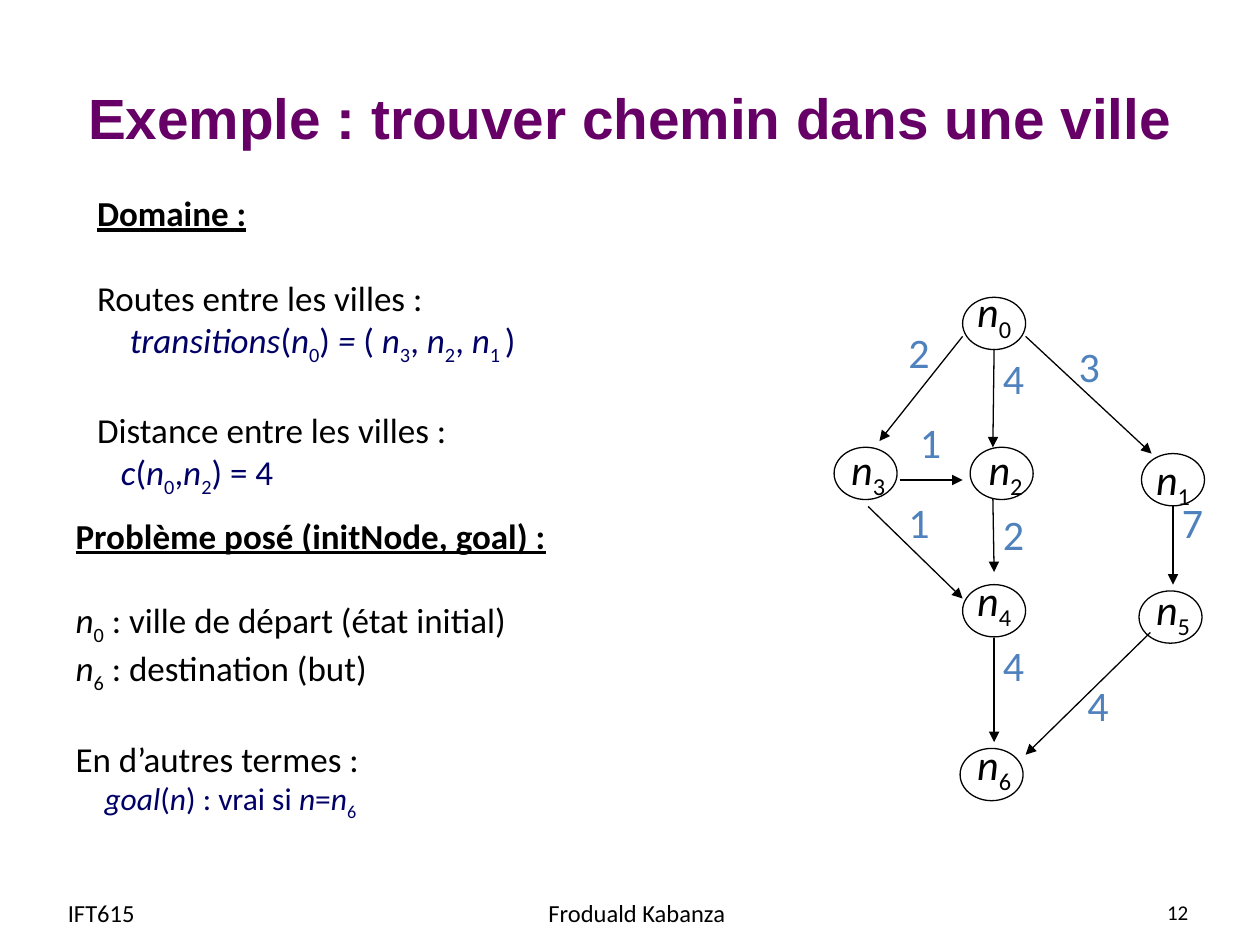
from dataclasses import dataclass
from lxml.etree import SubElement
from pptx import Presentation
from pptx.dml.color import RGBColor
from pptx.enum.shapes import MSO_CONNECTOR, MSO_SHAPE
from pptx.enum.text import MSO_ANCHOR, MSO_AUTO_SIZE, PP_ALIGN
from pptx.oxml.ns import qn
from pptx.util import Inches, Pt


@dataclass(frozen=True)
class Theme:
    black: RGBColor = RGBColor(0, 0, 0)
    title: RGBColor = RGBColor(0x66, 0, 0x66)
    math: RGBColor = RGBColor(0, 0, 0x66)
    weight: RGBColor = RGBColor(0x4F, 0x81, 0xBD)
    head: str = "Arial"
    body: str = "Calibri"
    title_size: float = 32.4
    graph_size: int = 24
    text_size: int = 20
    small_size: int = 18
    foot_size: int = 14
    page_size: int = 12
    line: float = 0.75


THEME = Theme()
COLS, ROWS = 100, 75
WIDTH, HEIGHT = Inches(10), Inches(7.5)
NODE = (5, 4.15)
NAME = (5.2, 5)
COST = (3.7, 5)

# Node number: corner of the ellipse, corner of its name
NODES = {
    0: ((76.4, 23.6), (76.3, 22.2)),
    3: ((66.2, 35.5), (66.3, 34.7)),
    2: ((77, 35.5), (77.2, 34.7)),
    1: ((90.6, 36), (90.5, 35.5)),
    4: ((76.4, 46.4), (76.3, 45.1)),
    6: ((76.2, 59.4), (76.3, 58.1)),
    5: ((90.4, 46.9), (90.5, 45.8)),
}

# Road: start, end, cost, corner of the cost
ROADS = [
    ((78.9, 27.7), (78.8, 35.5), 4, (78.6, 27.5)),
    ((81.4, 26.7), (91.4, 36), 3, (84.6, 26.5)),
    ((76.4, 26.7), (69.8, 35), 2, (71.1, 25.4)),
    ((71.4, 38.1), (76.4, 38.1), 1, (72, 32.6)),
    ((68.9, 40.2), (76.4, 47.5), 1, (71.1, 38.9)),
    ((78.8, 39.6), (78.9, 45.4), 2, (78.6, 39.9)),
    ((78.9, 50.6), (78.9, 58.9), 4, (78.6, 50.3)),
    ((93.1, 40.2), (93.1, 46.4), 7, (92.8, 38.9)),
    ((91.3, 50.2), (81.4, 59.9), 4, (85.3, 53.4)),
]

# Line: text (* toggles italic, ~ toggles subscript), gap before, indent, size
DOMAIN = [
    ("Domaine :", 0, 0, THEME.text_size),
    ("Routes entre les villes :", 1, 0, THEME.text_size),
    ("*transitions*(*n*~0~) *=* ( *n*~3~, *n*~2~, *n*~1 ~)", 0, 0.26,
     THEME.text_size),
    ("Distance entre les villes :", 1, 0, THEME.text_size),
    ("*c*(*n*~0~,*n*~2~) = 4", 0, 0.19, THEME.text_size),
]
PROBLEM = [
    ("Problème posé (initNode, goal) :", 0, 0, THEME.text_size),
    ("*n*~0~ : ville de départ (état initial)", 1, 0, THEME.text_size),
    ("*n*~6~ : destination (but)", 0, 0, THEME.text_size),
    ("En d’autres termes :", 1, 0, THEME.text_size),
    ("*goal*(*n*) : vrai si *n*=*n*~6~", 0, 0.23, THEME.small_size),
]


def spot(x, y):
    """Turn columns and rows into slide lengths."""
    return round(x * WIDTH / COLS), round(y * HEIGHT / ROWS)


def place(shape, at, size):
    shape.left, shape.top = spot(*at)
    shape.width, shape.height = spot(*size)


def style(para, size, color, name=THEME.body, align=PP_ALIGN.LEFT):
    para.alignment = align
    font = para.font
    font.size, font.name = Pt(size), name
    font.color.rgb = color


def write(para, text):
    """Add runs, switching italic at * and subscript at ~."""
    italic = low = False
    part = ""
    for char in text + "*":
        if char not in "*~":
            part += char
            continue
        if part:
            run = para.add_run()
            run.text = part
            if italic:
                run.font.italic = True
            if low:
                run._r.get_or_add_rPr().set("baseline", "-25000")
        part = ""
        italic ^= char == "*"
        low ^= char == "~"


def label(slide, text, at, size, points, color=THEME.black,
          align=PP_ALIGN.CENTER, wrap=False, anchor=MSO_ANCHOR.TOP):
    box = slide.shapes.add_textbox(*spot(*at), *spot(*size))
    frame = box.text_frame
    frame.word_wrap, frame.vertical_anchor = wrap, anchor
    para = frame.paragraphs[0]
    style(para, points, color, align=align)
    write(para, text)


def node(slide, number, at, name_at):
    oval = slide.shapes.add_shape(MSO_SHAPE.OVAL, *spot(*at), *spot(*NODE))
    oval.shadow.inherit = False
    oval.fill.background()
    oval.line.color.rgb, oval.line.width = THEME.black, Pt(THEME.line)
    label(slide, f"*n*~{number}~", name_at, NAME, THEME.graph_size)


def road(slide, start, end):
    link = slide.shapes.add_connector(
        MSO_CONNECTOR.STRAIGHT, *spot(*start), *spot(*end))
    link.line.color.rgb, link.line.width = THEME.black, Pt(THEME.line)
    SubElement(link.line._get_or_add_ln(), qn("a:tailEnd"), type="triangle")
    SubElement(link._element.spPr, qn("a:effectLst"))


def title(slide, text):
    head = slide.shapes.title
    place(head, (5, 3), (90, 12.5))
    head.text_frame.vertical_anchor = MSO_ANCHOR.MIDDLE
    head.text_frame.text = text
    para = head.text_frame.paragraphs[0]
    style(para, THEME.title_size, THEME.title, THEME.head, PP_ALIGN.CENTER)
    para.font.bold = True


def notes(holder, lines, at, size):
    """Fill a body placeholder: a heading, then plain and indented lines."""
    place(holder, at, size)
    frame = holder.text_frame
    frame.auto_size = MSO_AUTO_SIZE.NONE
    for row, (text, gap, indent, points) in enumerate(lines):
        para = frame.add_paragraph() if row else frame.paragraphs[0]
        para.space_before = Pt(gap * 24.4)
        props = para._p.get_or_add_pPr()
        props.set("marL", str(Inches(indent)))
        props.set("indent", "0")
        SubElement(props, qn("a:buNone"))
        style(para, points, THEME.math if indent else THEME.black)
        if row == 0:
            para.font.bold = para.font.underline = True
        write(para, text)


def footer(slide):
    for text, x, wide, points, align in (
            ("IFT615", 4.4, 19.3, THEME.foot_size, PP_ALIGN.LEFT),
            ("Froduald Kabanza", 34.7, 31.7, THEME.foot_size, PP_ALIGN.CENTER),
            ("12", 72, 23.3, THEME.page_size, PP_ALIGN.RIGHT)):
        label(slide, text, (x, 70.4), (wide, 4), points, align=align,
              wrap=True, anchor=MSO_ANCHOR.MIDDLE)


def main():
    deck = Presentation()
    deck.slide_width, deck.slide_height = WIDTH, HEIGHT
    slide = deck.slides.add_slide(deck.slide_layouts[3])
    left, right = list(slide.placeholders)[1:3]

    # Title and text
    title(slide, "Exemple : trouver chemin dans une ville")
    notes(left, DOMAIN, (6.7, 14.7), (49.3, 24.6))
    notes(right, PROBLEM, (5, 40.3), (44.2, 24.6))

    # Road graph
    for number, (at, name_at) in NODES.items():
        node(slide, number, at, name_at)
    for start, end, cost, cost_at in ROADS:
        road(slide, start, end)
        label(slide, str(cost), cost_at, COST, THEME.graph_size, THEME.weight)

    footer(slide)
    deck.save("out.pptx")


if __name__ == "__main__":
    main()
